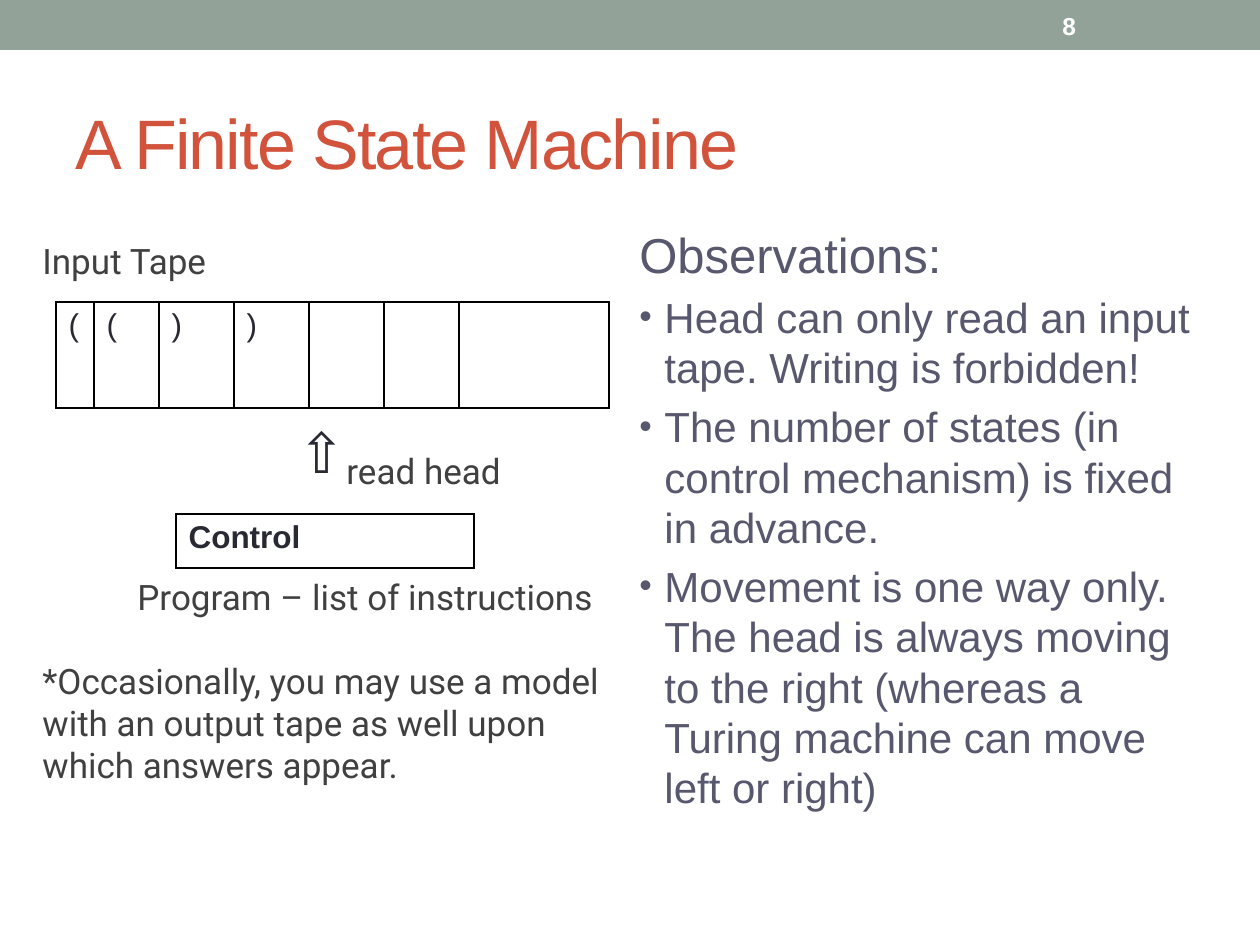
from pptx import Presentation
from pptx.dml.color import RGBColor
from pptx.enum.shapes import MSO_SHAPE
from pptx.enum.text import MSO_ANCHOR
from pptx.oxml import parse_xml
from pptx.oxml.ns import nsdecls
from pptx.util import Emu, Pt

PX = 914400 / 126
SAGE = RGBColor(0x93, 0xA2, 0x99)
RED = RGBColor(0xD2, 0x53, 0x3C)
SLATE = RGBColor(0x57, 0x57, 0x6E)
GRAY = RGBColor(0x40, 0x40, 0x40)
INK = RGBColor(0x29, 0x29, 0x34)
WHITE = RGBColor(0xFF, 0xFF, 0xFF)
BLACK = RGBColor(0, 0, 0)


def px(value):
    return Emu(round(value * PX))


class SlideBuilder:
    def __init__(self, presentation, font="Arial"):
        self.slide = presentation.slides.add_slide(presentation.slide_layouts[6])
        self.font = font

    def bar(self, left, top, width, height, color):
        shape = self.slide.shapes.add_shape(
            MSO_SHAPE.RECTANGLE, *map(px, (left, top, width, height)))
        shape.shadow.inherit = False
        shape.fill.solid()
        shape.fill.fore_color.rgb = color
        shape.line.fill.background()

    def style(self, paragraph, size, color, font=None, bold=False, spacing=0):
        values = {"name": font or self.font, "size": Pt(size), "bold": bold}
        for target in (paragraph.font, *(run.font for run in paragraph.runs)):
            for name, value in values.items():
                setattr(target, name, value)
            target.color.rgb = color
        if spacing:
            for run in paragraph.runs:
                run.font._element.set("spc", str(spacing))

    def text(self, left, top, width, height, paragraphs, anchor=MSO_ANCHOR.TOP, **style):
        """Each paragraph is a pair: its words and a dict of format values."""
        box = self.slide.shapes.add_textbox(*map(px, (left, top, width, height)))
        frame = box.text_frame
        frame.word_wrap = True
        frame.vertical_anchor = anchor
        for index, (words, extra) in enumerate(paragraphs):
            paragraph = frame.paragraphs[0] if index == 0 else frame.add_paragraph()
            paragraph.text = words
            values = {**style, **extra}
            paragraph.space_before = Pt(values.pop("before", 0))
            indent = values.pop("indent", 0)
            if indent:
                paragraph._p.get_or_add_pPr().set("marL", str(px(indent)))
            if values.pop("bullet", False):
                self.bullet(paragraph, values["color"])
            self.style(paragraph, **values)

    def bullet(self, paragraph, color, hang=25):
        properties = paragraph._p.get_or_add_pPr()
        properties.set("marL", str(px(hang)))
        properties.set("indent", str(-px(hang)))
        for xml in (f'<a:buClr {nsdecls("a")}><a:srgbClr val="{color}"/></a:buClr>',
                    f'<a:buSzPct {nsdecls("a")} val="85000"/>',
                    f'<a:buFont {nsdecls("a")} typeface="Arial"/>',
                    f'<a:buChar {nsdecls("a")} char="•"/>'):
            properties.append(parse_xml(xml))

    def tape(self, left, top, widths, height, labels, **style):
        """One-row table with black borders and no fill."""
        frame = self.slide.shapes.add_table(
            1, len(widths), *map(px, (left, top, sum(widths), height)))
        table = frame.table
        table.first_row = table.horz_banding = False
        table.rows[0].height = px(height)
        for column, width, cell, label in zip(
                table.columns, widths, table.rows[0].cells, labels):
            column.width = px(width)
            cell.text = label
            self.style(cell.text_frame.paragraphs[0], **style)
            properties = cell._tc.get_or_add_tcPr()
            for side in ("lnL", "lnR", "lnT", "lnB"):
                properties.append(parse_xml(
                    f'<a:{side} {nsdecls("a")} w="{Pt(1)}"><a:solidFill>'
                    f'<a:srgbClr val="{BLACK}"/></a:solidFill></a:{side}>'))
            cell.fill.background()


def main():
    presentation = Presentation()
    presentation.slide_width, presentation.slide_height = px(1260), px(945)
    builder = SlideBuilder(presentation)
    builder.bar(0, 0, 1260, 50, SAGE)
    builder.text(63, 73, 1134, 136, [("A Finite State Machine", {})],
                 anchor=MSO_ANCHOR.MIDDLE, size=40, color=RED, spacing=-100)

    point = {"bullet": True, "before": 4.8}
    builder.text(627, 218, 596, 662, [
        ("Observations:", {"size": 28}),
        ("Head can only read an input tape. Writing is forbidden!", point),
        ("The number of states (in control mechanism) is fixed in advance.", point),
        ("Movement is one way only. The head is always moving to the right "
         "(whereas a Turing machine can move left or right)", point),
    ], size=24, color=SLATE)

    line = 24
    builder.text(30, 233, 596, 607, [
        ("Input Tape", {}),
        ("read head", {"before": 4 * line, "indent": 304}),
        ("Program – list of instructions", {"before": 2 * line, "indent": 95}),
        ("*Occasionally, you may use a model with an output tape as well upon "
         "which answers appear.", {"before": line}),
    ], size=20, color=GRAY, font="Roboto")

    builder.tape(56, 302, [38, 65, 75, 75, 75, 75, 150], 106,
                 ["(", "(", ")", ")", "", "", ""], size=18, color=INK)
    builder.tape(176, 514, [298], 54, ["Control"], size=18, color=INK, bold=True)
    builder.text(286, 411, 96, 81, [("⇧", {})], size=32, color=INK)
    builder.text(1050, 3, 147, 45, [("8", {})], anchor=MSO_ANCHOR.MIDDLE,
                 size=14, color=WHITE, bold=True)
    presentation.save("out.pptx")


if __name__ == "__main__":
    main()
